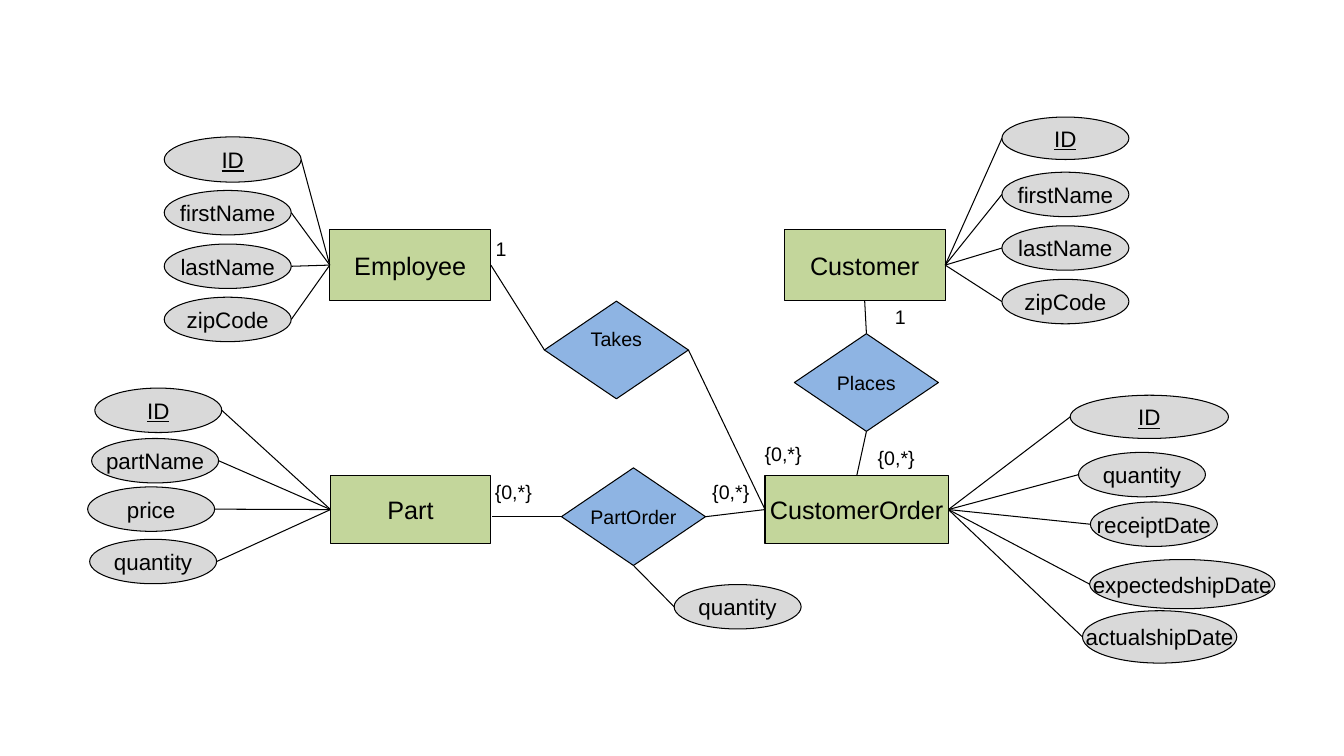
"""Build an entity-relationship diagram of employees, customers, orders and parts."""
from lxml.etree import SubElement
from pptx import Presentation
from pptx.dml.color import RGBColor
from pptx.enum.shapes import MSO_CONNECTOR, MSO_SHAPE
from pptx.enum.text import MSO_ANCHOR, PP_ALIGN
from pptx.oxml.ns import qn
from pptx.util import Cm, Pt

COLOURS = {"entity": "C3D69B", "relation": "8EB4E3", "attribute": "D9D9D9", "ink": "000000"}
PRESETS = {
    "entity": MSO_SHAPE.FLOWCHART_PROCESS,
    "relation": MSO_SHAPE.FLOWCHART_DECISION,
    "attribute": MSO_SHAPE.OVAL,
}
INK = RGBColor.from_string(COLOURS["ink"])

deck = Presentation()
deck.slide_width, deck.slide_height = Cm(33.87), Cm(19.05)
page = deck.slides.add_slide(deck.slide_layouts[6])


def add_text(text, left, top, width, height, kind=None, size=14, underline=False, lift=0):
    """Add a label, or a filled shape of the given kind, and return its side midpoints."""
    place = [Cm(length) for length in (left, top, width, height)]
    if kind:
        box = page.shapes.add_shape(PRESETS[kind], *place)
        box.shadow.inherit = False
        box.fill.solid()
        box.fill.fore_color.rgb = RGBColor.from_string(COLOURS[kind])
        box.line.color.rgb = INK
        box.line.width = Pt(0.75)
    else:
        box = page.shapes.add_textbox(*place)
    frame = box.text_frame
    frame.word_wrap = False
    frame.vertical_anchor = MSO_ANCHOR.MIDDLE if kind else MSO_ANCHOR.TOP
    if lift:
        frame.margin_top, frame.margin_bottom = 0, Cm(2 * lift)
    para = frame.paragraphs[0]
    para.alignment = PP_ALIGN.CENTER if kind else PP_ALIGN.LEFT
    span = para.add_run()
    span.text = text
    span.font.name = "Arial"
    span.font.size = Pt(size)
    span.font.color.rgb = INK
    if underline:
        span.font.underline = True
    middle, centre = top + height / 2, left + width / 2
    return {
        "left": (left, middle),
        "right": (left + width, middle),
        "top": (centre, top),
        "bottom": (centre, top + height),
    }


def add_link(start, end):
    """Draw a straight line between two points."""
    points = [Cm(length) for length in (*start, *end)]
    line = page.shapes.add_connector(MSO_CONNECTOR.STRAIGHT, *points)
    line.line.color.rgb = INK
    line.line.width = Pt(0.75)
    SubElement(line._element.spPr, qn("a:effectLst"))


entities = {
    "Employee": (8.31, 5.79, 4.06, 1.78),
    "Customer": (19.76, 5.79, 4.06, 1.78),
    "Part": (8.33, 11.99, 4.03, 1.7),
    "CustomerOrder": (19.28, 11.99, 4.62, 1.7),
}
relations = {"Takes": (13.72, 7.59), "PartOrder": (14.15, 11.79), "Places": (20.02, 8.41)}
sides = {}
for name, place in entities.items():
    sides[name] = add_text(name, *place, kind="entity", size=18)
for name, place in relations.items():
    lift = 0.28 if name == "Takes" else 0
    sides[name] = add_text(name, *place, 3.63, 2.46, kind="relation", lift=lift)

OVAL = (3.2, 1.12)
attributes = [
    ("Employee", "left", "right", [
        ("ID", 4.14, 3.45, 3.45, 1.14),
        ("firstName", 4.14, 4.8, *OVAL),
        ("lastName", 4.14, 6.15, *OVAL),
        ("zipCode", 4.14, 7.49, *OVAL),
    ]),
    ("Customer", "right", "left", [
        ("ID", 25.25, 2.95, 3.2, 1.07),
        ("firstName", 25.25, 4.34, *OVAL),
        ("lastName", 25.25, 5.69, *OVAL),
        ("zipCode", 25.25, 7.04, *OVAL),
    ]),
    ("Part", "left", "right", [
        ("ID", 2.39, 9.78, *OVAL),
        ("partName", 2.31, 11.05, *OVAL),
        ("price", 2.21, 12.27, *OVAL),
        ("quantity", 2.26, 13.59, *OVAL),
    ]),
    ("CustomerOrder", "right", "left", [
        ("ID", 26.97, 9.96, 3.99, 1.09),
        ("quantity", 27.18, 11.4, *OVAL),
        ("receiptDate", 27.48, 12.65, *OVAL),
        ("expectedshipDate", 27.46, 14.1, 4.67, 1.24),
        ("actualshipDate", 27.28, 15.39, 3.89, 1.32),
    ]),
    ("PartOrder", "bottom", "left", [("quantity", 16.99, 14.73, *OVAL)]),
]
for owner, owner_side, oval_side, ovals in attributes:
    for name, *place in ovals:
        oval = add_text(name, *place, kind="attribute", size=16, underline=name == "ID")
        add_link(oval[oval_side], sides[owner][owner_side])

add_link(sides["Employee"]["right"], sides["Takes"]["left"])
add_link(sides["Takes"]["right"], sides["CustomerOrder"]["left"])
add_link((12.4, sides["PartOrder"]["left"][1]), sides["PartOrder"]["left"])
add_link(sides["PartOrder"]["right"], sides["CustomerOrder"]["left"])
add_link(sides["Customer"]["bottom"], sides["Places"]["top"])
add_link(sides["Places"]["bottom"], sides["CustomerOrder"]["top"])

cardinalities = [
    ("1", 0.79, [(12.24, 5.84), (22.3, 7.57)]),
    ("{0,*}", 1.45, [(19.02, 11.02), (21.87, 11.1), (12.22, 11.96), (17.7, 11.96)]),
]
for label, width, places in cardinalities:
    for place in places:
        add_text(label, *place, width, 0.86)

deck.save("out.pptx")
